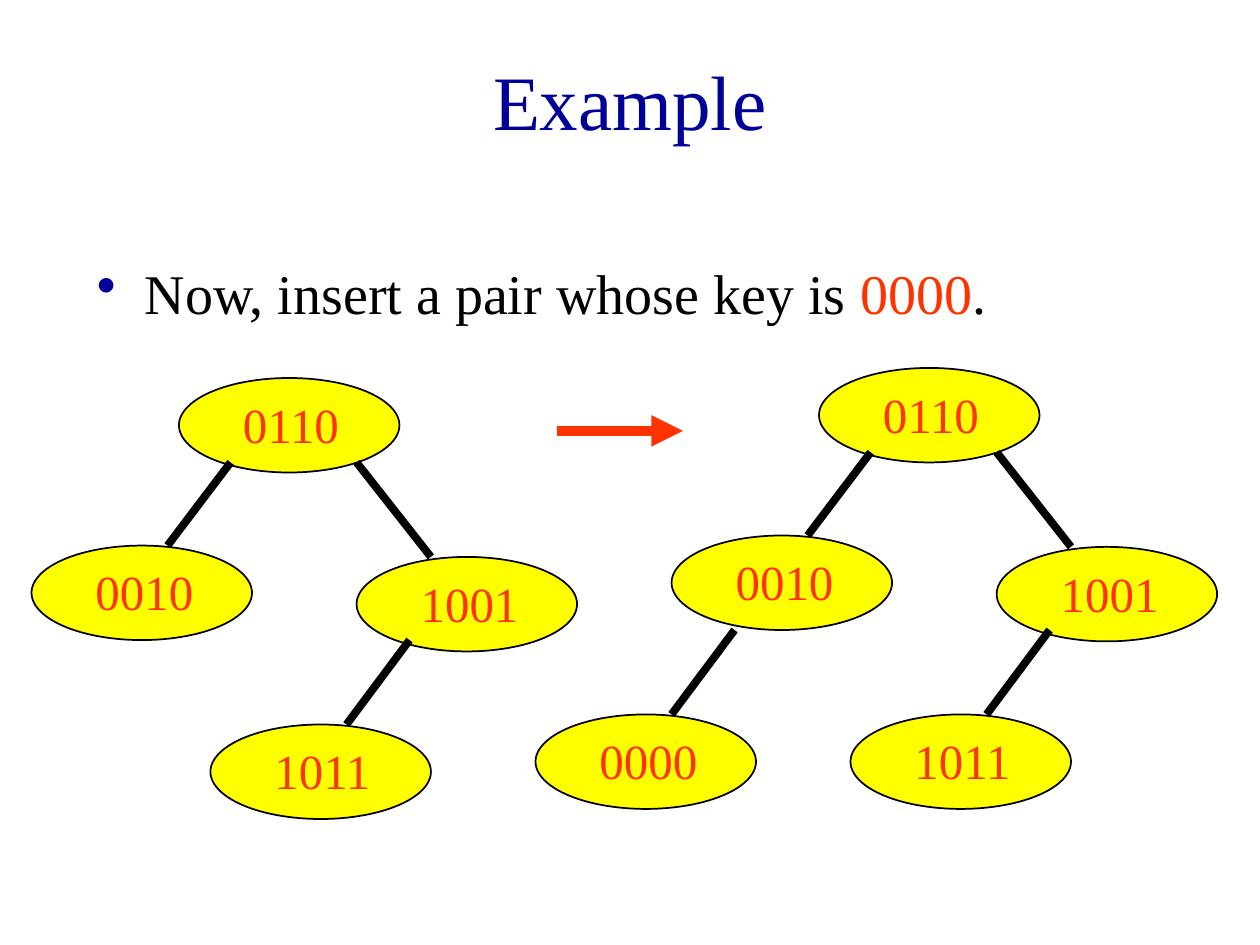
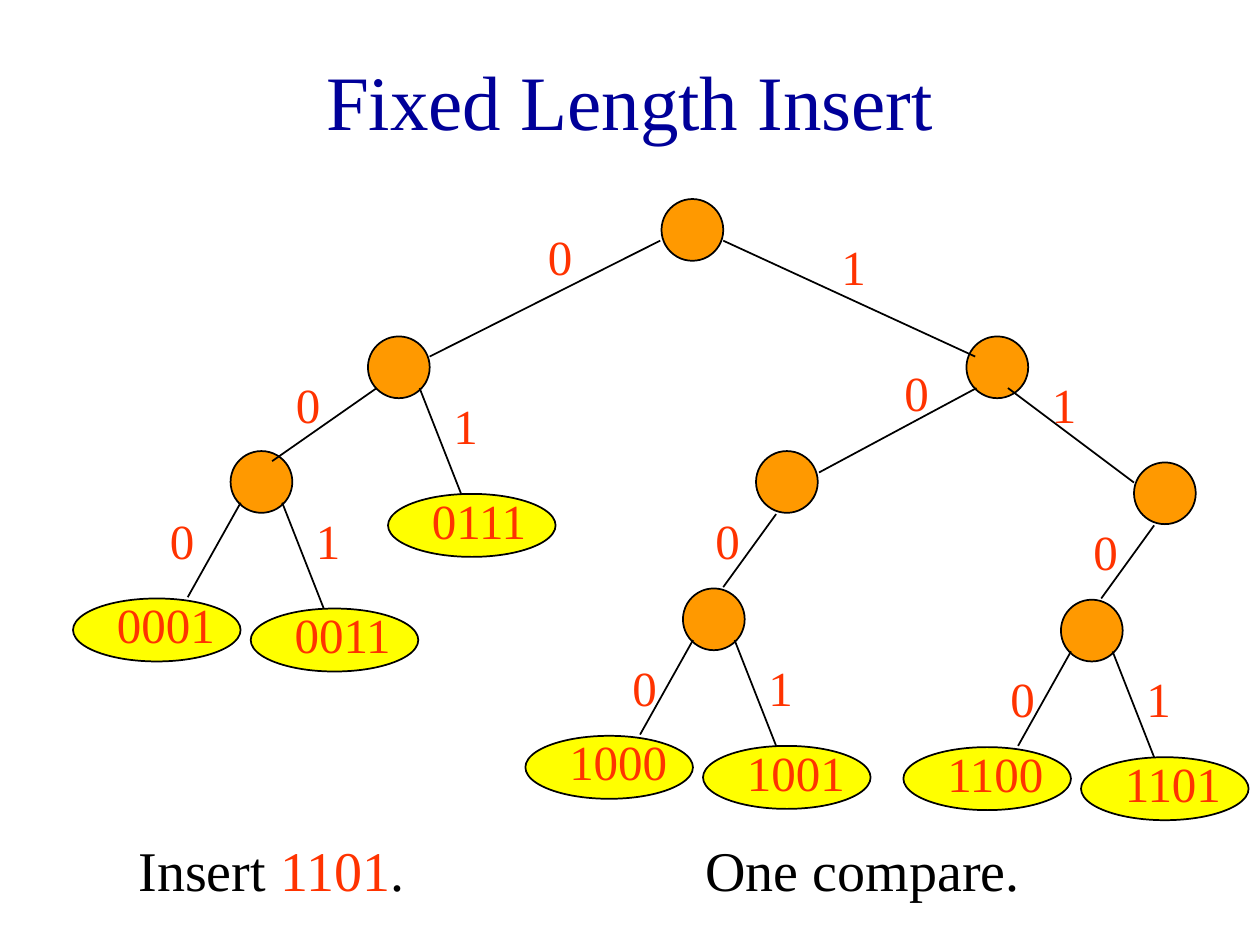
from lxml.etree import SubElement
from pptx import Presentation
from pptx.dml.color import RGBColor
from pptx.enum.shapes import MSO_CONNECTOR, MSO_SHAPE
from pptx.enum.text import MSO_ANCHOR, MSO_AUTO_SIZE, PP_ALIGN
from pptx.oxml.ns import qn
from pptx.util import Inches, Pt

NAVY = RGBColor(0x00, 0x00, 0x99)
RED = RGBColor(0xFF, 0x33, 0x00)
BLACK = RGBColor(0x00, 0x00, 0x00)
WHITE = RGBColor(0xFF, 0xFF, 0xFF)
YELLOW = RGBColor(0xFF, 0xFF, 0x00)
ORANGE = RGBColor(0xFF, 0x99, 0x00)

FONT = "Times New Roman"
TITLE_SIZE, BODY_SIZE, KEY_SIZE = 44, 32, 28
TITLE_ONLY = 5


class Deck:
    """Holds the shared style and the slide being drawn."""

    def __init__(self):
        self.presentation = Presentation()
        self.presentation.slide_width = Inches(10)
        self.presentation.slide_height = Inches(7.5)
        self.slide = None

    def add_slide(self, title):
        layout = self.presentation.slide_layouts[TITLE_ONLY]
        self.slide = self.presentation.slides.add_slide(layout)
        shape = self.slide.shapes.title
        shape.left, shape.top = Inches(0.75), Inches(0.17)
        shape.width, shape.height = Inches(8.5), Inches(1.25)
        frame = shape.text_frame
        frame.auto_size = MSO_AUTO_SIZE.NONE
        frame.vertical_anchor = MSO_ANCHOR.MIDDLE
        paragraph = frame.paragraphs[0]
        paragraph.alignment = PP_ALIGN.CENTER
        self.add_runs(paragraph, [(title, NAVY)], TITLE_SIZE)

    def add_runs(self, paragraph, runs, size):
        for text, color in runs:
            run = paragraph.add_run()
            run.text = text
            run.font.name = FONT
            run.font.size = Pt(size)
            run.font.color.rgb = color

    def text(self, left, top, width, height, runs, size):
        shape = self.slide.shapes.add_textbox(
            Inches(left), Inches(top), Inches(width), Inches(height))
        shape.text_frame.word_wrap = True
        self.add_runs(shape.text_frame.paragraphs[0], runs, size)
        return shape

    def bullet(self, left, top, width, height, runs):
        shape = self.text(left, top, width, height, runs, BODY_SIZE)
        properties = shape.text_frame.paragraphs[0]._p.get_or_add_pPr()
        properties.set("marL", str(Inches(0.38)))
        properties.set("indent", str(-Inches(0.38)))
        color = SubElement(properties, qn("a:buClr"))
        SubElement(color, qn("a:srgbClr"), val=str(NAVY))
        SubElement(properties, qn("a:buChar"), char="•")

    def caption(self, left, runs):
        shape = self.text(left, 6.58, 3.25, 0.64, runs, BODY_SIZE)
        shape.fill.solid()
        shape.fill.fore_color.rgb = WHITE

    def key(self, left, top, text):
        self.text(left, top, 1.17, 0.57, [(text, RED)], KEY_SIZE)

    def bit(self, left, top, text):
        self.text(left, top, 0.5, 0.57, [(text, RED)], KEY_SIZE)

    def ellipse(self, left, top, width, height, fill):
        shape = self.slide.shapes.add_shape(
            MSO_SHAPE.OVAL, Inches(left), Inches(top), Inches(width), Inches(height))
        shape.shadow.inherit = False
        shape.fill.solid()
        shape.fill.fore_color.rgb = fill
        shape.line.color.rgb = BLACK
        shape.line.width = Pt(1)

    def line(self, start, end, width=1, color=BLACK, arrow=False):
        connector = self.slide.shapes.add_connector(
            MSO_CONNECTOR.STRAIGHT, *map(Inches, start + end))
        connector.line.color.rgb = color
        connector.line.width = Pt(width)
        if arrow:
            SubElement(connector.line._get_or_add_ln(), qn("a:tailEnd"), type="triangle")
        SubElement(connector._element.spPr, qn("a:effectLst"))

    def tree_node(self, left, top, key):
        self.ellipse(left, top, 1.75, 0.75, YELLOW)
        self.key(left + 0.41, top + 0.08, key)

    def branch_node(self, left, top):
        self.ellipse(left, top, 0.49, 0.49, ORANGE)

    def leaf(self, left, top, key):
        self.ellipse(left, top, 1.33, 0.5, YELLOW)
        self.key(left + 0.25, top - 0.08, key)

    def zero_leaf(self, left, top, key, bit_shift=0):
        """Hang a leaf on the 0 side of the branch node at left, top."""
        self.line((left + 0.08, top + 0.41), (left - 0.34, top + 1.16))
        self.leaf(left - 1.25, top + 1.17, key)
        self.bit(left - 0.58 + bit_shift, top + 0.42 + bit_shift, "0")

    def one_leaf(self, left, top, key, bit_shift=0):
        """Hang a leaf on the 1 side of the branch node at left, top."""
        self.line((left + 0.41, top + 0.41), (left + 0.74, top + 1.25))
        self.leaf(left + 0.16, top + 1.25, key)
        self.bit(left + 0.58, top + 0.42 + bit_shift, "1")

    def single_child_branch(self, left, top, zero_key, one_key):
        """Draw a branch node whose only child is a branch with two leaves."""
        child_left, child_top = left - 0.58, top + 1.09
        self.branch_node(left, top)
        self.branch_node(child_left, child_top)
        self.line((left + 0.16, top + 0.5), (left - 0.26, top + 1.08))
        self.bit(left - 0.42, top + 0.42, "0")
        self.zero_leaf(child_left, child_top, zero_key, 0.08)
        self.one_leaf(child_left, child_top, one_key, 0.08)


def draw_search_tree(deck, left, top):
    for x, y, key in [(2.58, 1.42, "1001"), (1.17, 0, "0110"),
                      (0, 1.33, "0010"), (1.42, 2.75, "1011")]:
        deck.tree_node(left + x, top + y, key)
    for x1, y1, x2, y2 in [(1.58, 0.67, 1.08, 1.33), (2.58, 0.67, 3.17, 1.42),
                           (3, 2.08, 2.5, 2.75)]:
        deck.line((left + x1, top + y1), (left + x2, top + y2), 4.5)


def build_example(deck):
    deck.add_slide("Example")
    deck.bullet(0.67, 2, 8.5, 0.75, [
        ("Now, insert a pair whose key is ", BLACK), ("0000", RED), (".", BLACK)])
    deck.line((4.42, 3.42), (5.42, 3.42), 6, RED, arrow=True)
    draw_search_tree(deck, 0.25, 3)
    draw_search_tree(deck, 5.33, 2.92)
    deck.tree_node(4.25, 5.67, "0000")
    deck.line((5.83, 5), (5.33, 5.67), 4.5)


def build_fixed_length_insert(deck):
    deck.add_slide("Fixed Length Insert")
    deck.caption(1, [("Insert", BLACK), (" 1101", RED), (".", BLACK)])
    deck.caption(5.5, [("One compare.", BLACK)])

    for left, top in [(5.25, 1.58), (2.92, 2.67), (7.67, 2.67), (1.83, 3.58)]:
        deck.branch_node(left, top)
    deck.zero_leaf(1.83, 3.58, "0001")
    deck.one_leaf(1.83, 3.58, "0011")
    deck.one_leaf(2.92, 2.67, "0111")
    deck.single_child_branch(6, 3.58, "1000", "1001")
    deck.single_child_branch(9, 3.67, "1100", "1101")

    upper_edges = [
        ((5.24, 1.91), (3.41, 2.83), (4.25, 1.75), "0"),
        ((5.74, 1.91), (7.74, 2.83), (6.58, 1.83), "1"),
        ((2.99, 3.08), (2.16, 3.66), (2.25, 2.92), "0"),
        ((7.75, 3.08), (6.5, 3.75), (7.08, 2.83), "0"),
        ((8, 3.08), (9, 3.83), (8.25, 2.92), "1"),
    ]
    for start, end, bit_position, bit in upper_edges:
        deck.line(start, end)
        deck.bit(*bit_position, bit)


def main():
    deck = Deck()
    build_example(deck)
    build_fixed_length_insert(deck)
    deck.presentation.save("out.pptx")


if __name__ == "__main__":
    main()
